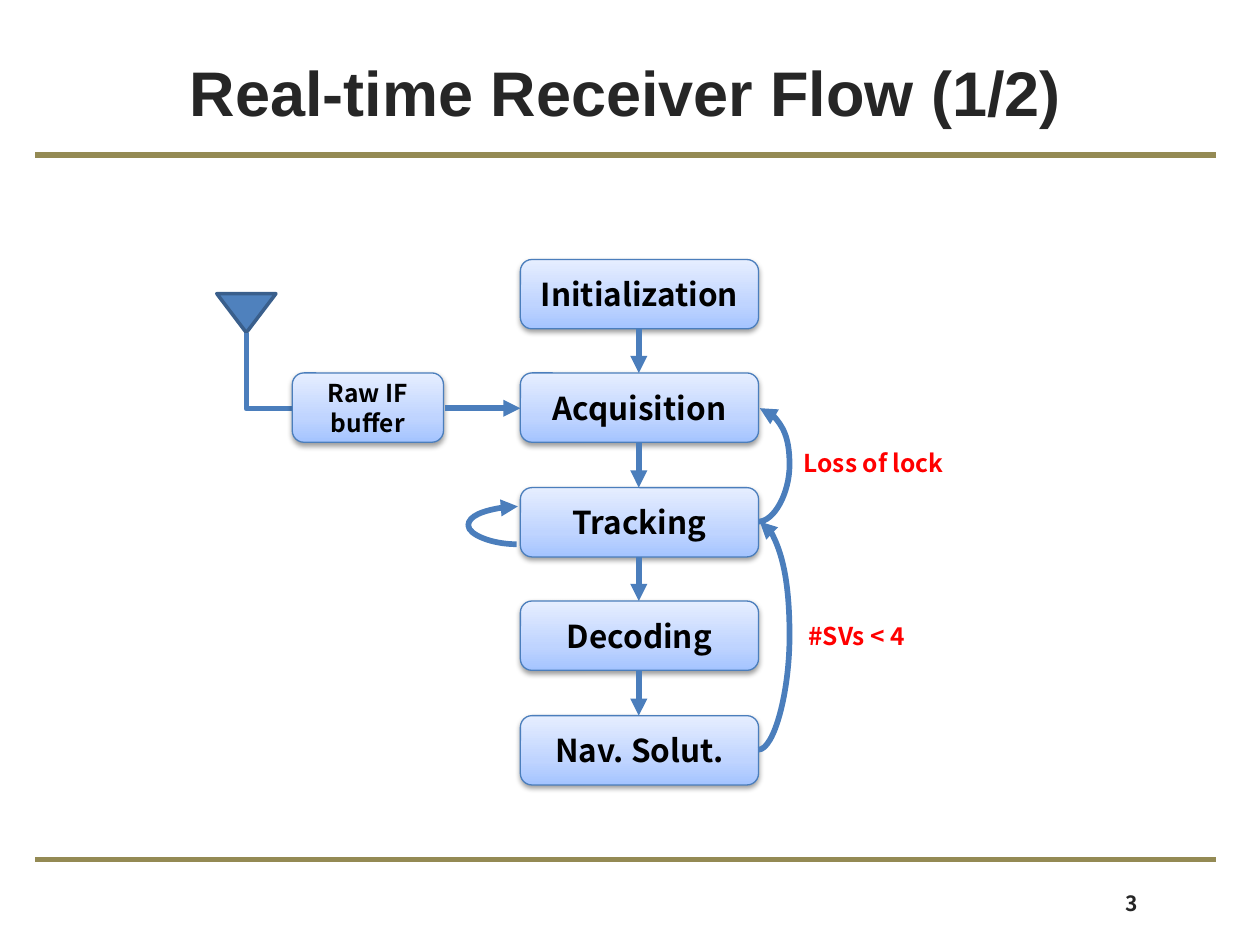
from copy import deepcopy
from dataclasses import dataclass

from lxml.etree import SubElement
from pptx import Presentation
from pptx.dml.color import RGBColor as Color
from pptx.enum.shapes import MSO_CONNECTOR as Link, MSO_SHAPE as Shape
from pptx.enum.text import MSO_ANCHOR as Anchor, PP_ALIGN as Align
from pptx.oxml.ns import qn
from pptx.util import Inches, Pt


@dataclass
class Theme:
    heading_font: str = "Arial"
    body_font: str = "Noto Sans CJK KR"
    ink: str = "262626"
    black: str = "000000"
    alert: str = "FF0000"
    rule: str = "948A54"
    flow: str = "4B7EBC"
    antenna: str = "4F81BD"
    antenna_edge: str = "3A5F8C"
    gradient: tuple = ((0, "A4C4FF"), (0.35, "BFD4FF"), (1, "E6EEFF"))
    title_size: int = 36
    step_size: int = 18
    label_size: int = 14
    number_size: int = 12


theme = Theme()
deck = Presentation()
deck.slide_width, deck.slide_height = Inches(10), Inches(7.5)
column = deck.slide_width // 1000
row = deck.slide_height // 750
page = deck.slides.add_slide(deck.slide_layouts[6])


def write(box, text, size, color, font=theme.body_font, anchor=Anchor.MIDDLE, wrap=True):
    frame = box.text_frame
    frame.text = text
    frame.word_wrap = wrap
    frame.vertical_anchor = anchor
    for para in frame.paragraphs:
        para.alignment = Align.CENTER
        for span in para.runs:
            span.font.name = font
            span.font.size = Pt(size)
            span.font.bold = True
            span.font.color.rgb = Color.from_string(color)
            east_asian = SubElement(span.font._element, qn("a:ea"))
            east_asian.set("typeface", font)


def connect(kind, start, end, color=theme.flow, weight=3.25, arrow=True):
    line = page.shapes.add_connector(
        kind, start[0] * column, start[1] * row, end[0] * column, end[1] * row
    )
    line.line.color.rgb = Color.from_string(color)
    line.line.width = Pt(weight)
    if arrow:
        SubElement(line.line._get_or_add_ln(), qn("a:tailEnd")).set("type", "triangle")
    SubElement(line._element.spPr, qn("a:effectLst"))
    return line


for height in (123, 682):
    connect(Link.STRAIGHT, (28, height), (965, height), theme.rule, 3, False)

title = page.shapes.add_textbox(43 * column, 29 * row, 907 * column, 87 * row)
write(title, "Real-time Receiver Flow (1/2)", theme.title_size, theme.ink, theme.heading_font)
number = page.shapes.add_textbox(849 * column, 697 * row, 99 * column, 40 * row)
write(number, "3", theme.number_size, theme.ink)

antenna = page.shapes.add_shape(
    Shape.ISOSCELES_TRIANGLE, 172 * column, 233 * row, 47 * column, 31 * row
)
antenna.rotation = 180
antenna.shadow.inherit = False
antenna.fill.solid()
antenna.fill.fore_color.rgb = Color.from_string(theme.antenna)
antenna.line.color.rgb = Color.from_string(theme.antenna_edge)
antenna.line.width = Pt(2)

feed = connect(Link.ELBOW, (244, 276), (184, 313), weight=3, arrow=False)
feed._element.spPr.prstGeom.set("prst", "bentConnector2")
feed._element.spPr.xfrm.set("rot", "16200000")

step_left, step_width, step_height = 413, 189, 55
step_tops = [206, 296, 387, 477, 568]
step_names = ["Initialization", "Acquisition", "Tracking", "Decoding", "Nav. Solut."]
boxes = [
    (name, step_left, top, step_width, theme.step_size)
    for name, top in zip(step_names, step_tops)
]
boxes.append(("Raw IF\nbuffer", 232, step_tops[1], 120, theme.label_size))

for name, left, top, width, size in boxes:
    box = page.shapes.add_shape(
        Shape.ROUNDED_RECTANGLE, left * column, top * row, width * column, step_height * row
    )
    box.fill.gradient()
    box.fill.gradient_angle = 90
    stops = box._element.spPr.find(".//" + qn("a:gsLst"))
    stops.insert(1, deepcopy(stops[0]))
    for stop, (position, color) in zip(box.fill.gradient_stops, theme.gradient):
        stop.position = position
        stop.color.rgb = Color.from_string(color)
    box.line.color.rgb = Color.from_string(theme.flow)
    box.line.width = Pt(0.75)
    box.shadow.inherit = False
    effects = box._element.spPr.find(qn("a:effectLst"))
    shadow = SubElement(effects, qn("a:outerShdw"), blurRad="40000", dist="20000", dir="5400000")
    shade = SubElement(shadow, qn("a:srgbClr"), val=theme.black)
    SubElement(shade, qn("a:alpha"), val="38000")
    write(box, name, size, theme.black)

center = step_left + step_width // 2
for upper, lower in zip(step_tops, step_tops[1:]):
    connect(Link.STRAIGHT, (center, upper + step_height), (center, lower))
connect(Link.STRAIGHT, (353, 324), (step_left, 324))

for left, start, end, bulge in ((602, 414, 324, 25), (602, 595, 414, 25), (410, 432, 402, -39)):
    curve = connect(Link.CURVE, (left, start), (left + 1, end))
    guides = curve._element.spPr.prstGeom.get_or_add_avLst()
    SubElement(guides, qn("a:gd"), name="adj1", fmla=f"val {bulge * 100000}")

for text, top, width in (("#SVs < 4", 488, 104), ("Loss of lock", 351, 131)):
    label = page.shapes.add_textbox(628 * column, top * row, width * column, 34 * row)
    write(label, text, theme.label_size, theme.alert, anchor=Anchor.TOP, wrap=False)

deck.save("out.pptx")
